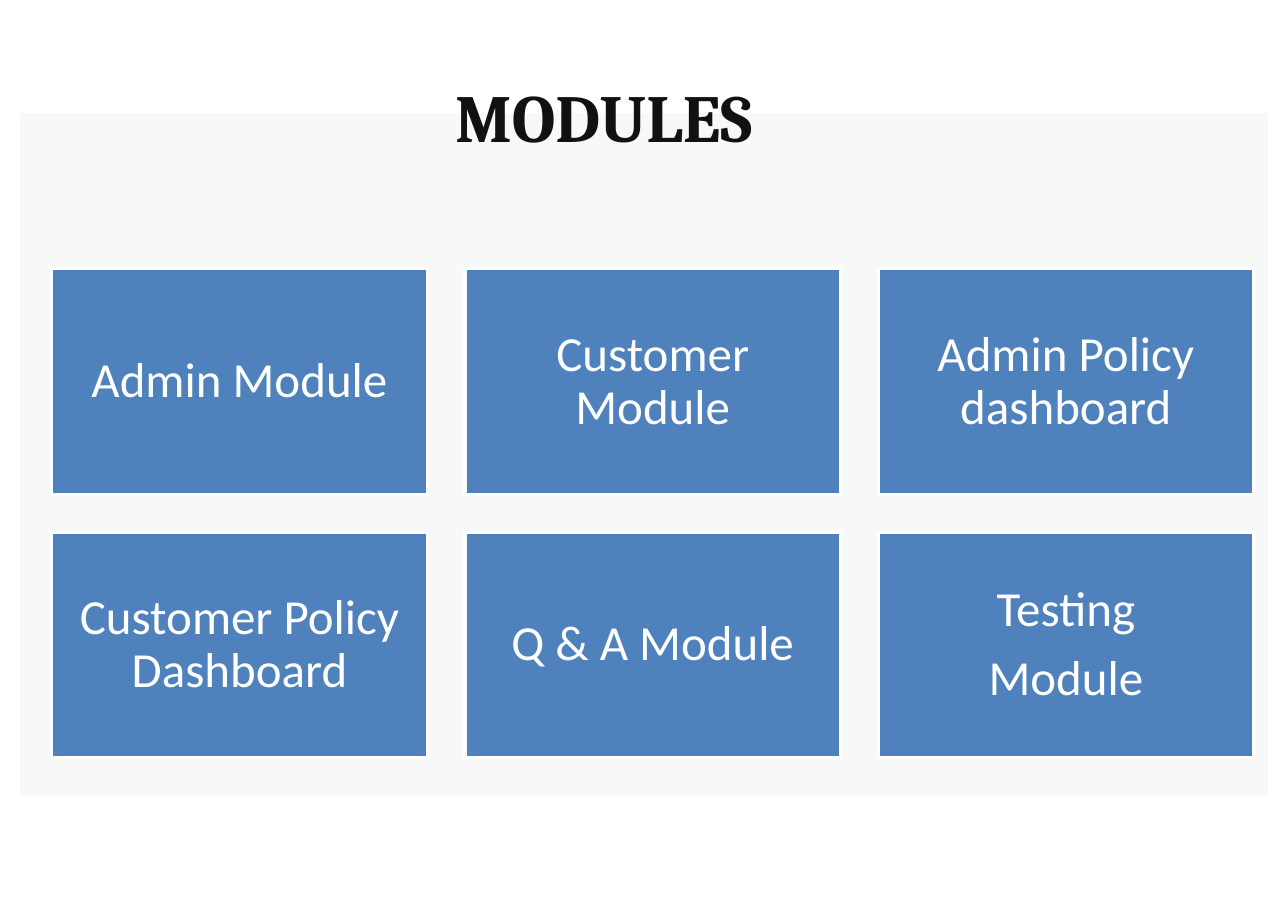
"""Build the slide that lists the project modules."""
from pptx import Presentation
from pptx.dml.color import RGBColor
from pptx.enum.shapes import MSO_SHAPE
from pptx.enum.text import MSO_ANCHOR, PP_ALIGN
from pptx.util import Inches, Pt

PANEL_GREY = RGBColor(0xF7, 0xF8, 0xF8)
CARD_BLUE = RGBColor(0x4F, 0x81, 0xBD)
WHITE = RGBColor(0xFF, 0xFF, 0xFF)
TITLE_BLACK = RGBColor(0x11, 0x11, 0x11)

CARD_LEFT, CARD_TOP = 0.47, 2.44
CARD_WIDTH, CARD_HEIGHT = 3.41, 2.05
COLUMN_STEP, ROW_STEP = 3.75, 2.39
COLUMNS = 3

MODULES = [
    "Admin Module",
    "Customer Module",
    "Admin Policy dashboard",
    "Customer Policy Dashboard",
    "Q & A Module",
    "Testing\nModule",
]


def write_text(shape, text, font="Calibri", size=32, color=WHITE, bold=False,
               align=PP_ALIGN.CENTER, anchor=MSO_ANCHOR.MIDDLE, margin=0.13,
               line_spacing=0.9, paragraph_gap=11):
    frame = shape.text_frame
    frame.text = text
    frame.word_wrap = True
    frame.vertical_anchor = anchor
    frame.margin_left = frame.margin_right = Inches(margin)
    frame.margin_top = frame.margin_bottom = Inches(margin)
    for index, paragraph in enumerate(frame.paragraphs):
        paragraph.alignment = align
        paragraph.line_spacing = line_spacing
        paragraph.space_before = Pt(paragraph_gap if index else 0)
        paragraph.font.name = font
        paragraph.font.size = Pt(size)
        paragraph.font.bold = bold
        paragraph.font.color.rgb = color


def add_rectangle(slide, left, top, width, height, fill, line=None):
    shape = slide.shapes.add_shape(MSO_SHAPE.RECTANGLE, Inches(left), Inches(top),
                                   Inches(width), Inches(height))
    shape.shadow.inherit = False
    shape.fill.solid()
    shape.fill.fore_color.rgb = fill
    if line is None:
        shape.line.fill.background()
    else:
        shape.line.color.rgb = line
        shape.line.width = Pt(2)
    return shape


def add_panel(slide):
    panel = add_rectangle(slide, 0.18, 1.03, 11.33, 6.2, PANEL_GREY)
    slide.shapes.title._element.addprevious(panel._element)


def set_title(slide, text):
    title = slide.shapes.title
    title.left, title.top = Inches(4.13), Inches(0.68)
    title.width, title.height = Inches(7.56), Inches(1.06)
    write_text(title, text, font="Cambria", size=44, color=TITLE_BLACK, bold=True,
               align=PP_ALIGN.LEFT, anchor=MSO_ANCHOR.TOP, margin=0, line_spacing=1)


def add_module_cards(slide, modules):
    for index, module in enumerate(modules):
        row, column = divmod(index, COLUMNS)
        card = add_rectangle(slide, CARD_LEFT + column * COLUMN_STEP,
                             CARD_TOP + row * ROW_STEP,
                             CARD_WIDTH, CARD_HEIGHT, CARD_BLUE, WHITE)
        write_text(card, module)


def main():
    presentation = Presentation()
    presentation.slide_width = Inches(11.69)
    presentation.slide_height = Inches(8.26)
    slide = presentation.slides.add_slide(presentation.slide_layouts[5])
    add_panel(slide)
    set_title(slide, "MODULES")
    add_module_cards(slide, MODULES)
    presentation.save("out.pptx")


if __name__ == "__main__":
    main()
